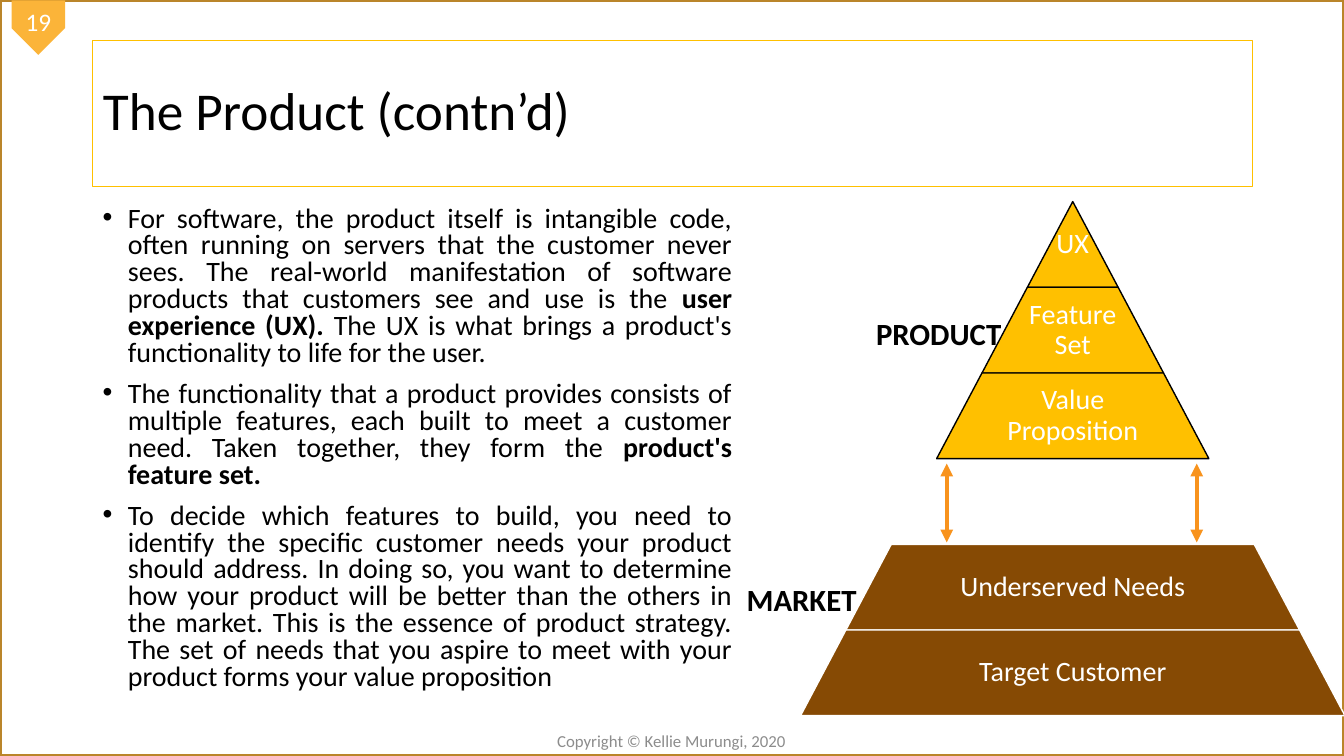
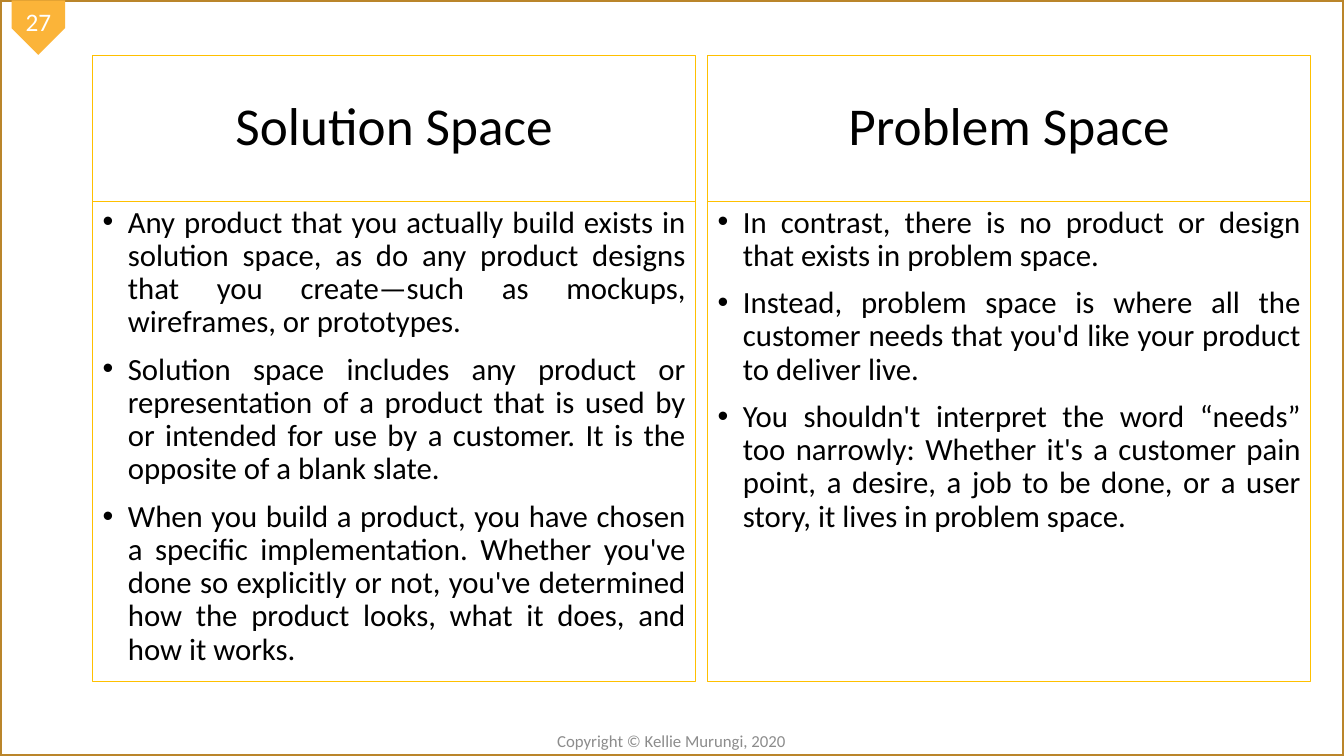
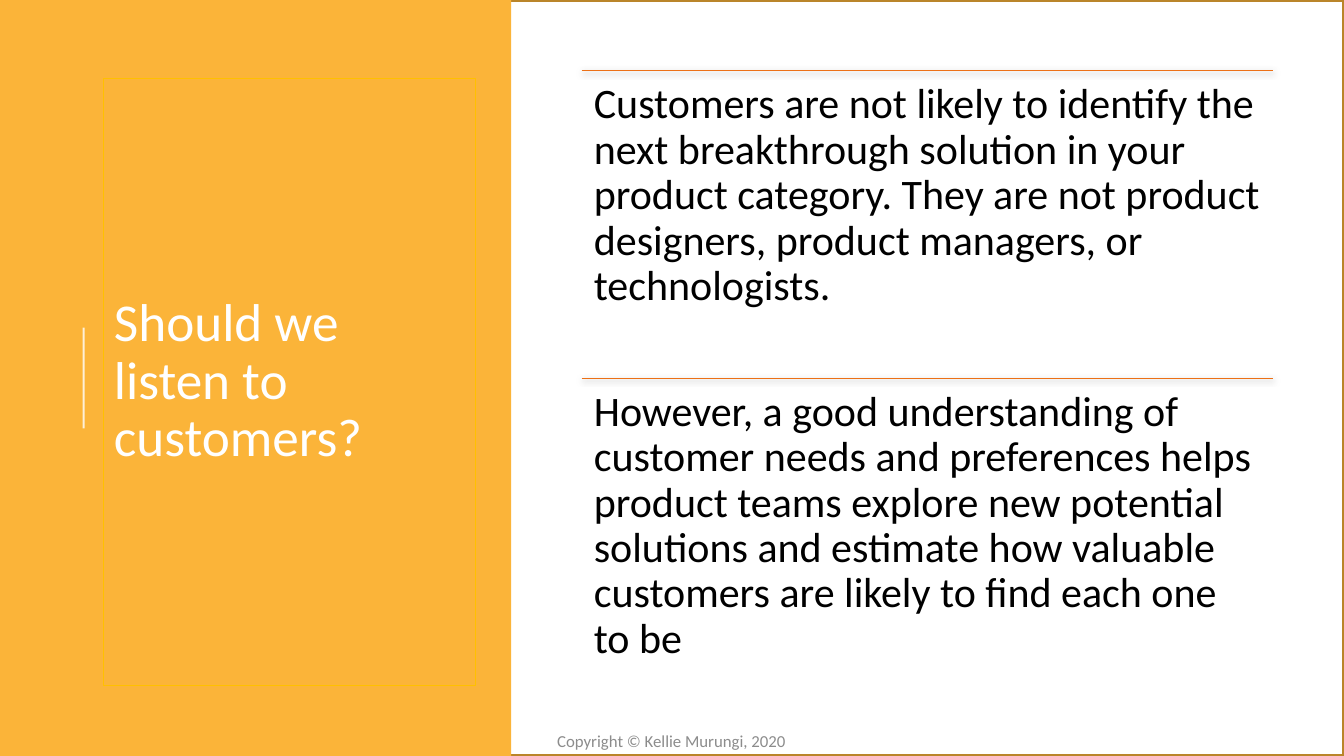
"""Build three product-management slides: the product pyramid, solution and problem space, and listening to customers."""
import pptx
import pptx.dml.color
import pptx.enum.shapes
import pptx.enum.text
import pptx.oxml.ns
import pptx.util
from lxml import etree

Inches, Pt = pptx.util.Inches, pptx.util.Pt
rgb = pptx.dml.color.RGBColor.from_string
qn = pptx.oxml.ns.qn
SHAPE = pptx.enum.shapes.MSO_SHAPE
STRAIGHT = pptx.enum.shapes.MSO_CONNECTOR.STRAIGHT
ALIGN = pptx.enum.text.PP_ALIGN
ANCHOR = pptx.enum.text.MSO_ANCHOR

FONT = "Calibri"
BLACK, WHITE, GREY = "000000", "FFFFFF", "8C8C8C"
AMBER, GOLD, BRONZE = "FBB439", "FFC000", "BA852A"
BROWN, ORANGE, RUST = "864A04", "F8931D", "EC7016"


def style(sp, fill=None, line=None, width=0.75):
    if isinstance(sp, pptx.shapes.connector.Connector):
        etree.SubElement(sp.element.spPr, qn("a:effectLst"))
    else:
        sp.shadow.inherit = False
        if fill:
            sp.fill.solid()
            sp.fill.fore_color.rgb = rgb(fill)
        else:
            sp.fill.background()
    if line:
        sp.line.color.rgb = rgb(line)
        sp.line.width = Pt(width)
    else:
        sp.line.fill.background()


def write(sp, *paragraphs, size, color=BLACK, bold=False, align=ALIGN.LEFT,
          anchor=ANCHOR.TOP, spacing=1.0, inset=None, bullet=False):
    tf = sp.text_frame
    tf.word_wrap = True
    tf.auto_size = pptx.enum.text.MSO_AUTO_SIZE.NONE
    tf.vertical_anchor = anchor
    if inset is not None:
        tf.margin_left = tf.margin_right = tf.margin_top = tf.margin_bottom = Inches(inset)
    for i, text in enumerate(paragraphs):
        p = tf.add_paragraph() if i else tf.paragraphs[0]
        p.alignment = align
        p.line_spacing = spacing
        if bullet:
            p.space_before = Pt(10)
            pPr = p._p.get_or_add_pPr()
            pPr.set("marL", str(Inches(0.25)))
            pPr.set("indent", str(-Inches(0.25)))
            etree.SubElement(pPr, qn("a:buFont")).set("typeface", "Arial")
            etree.SubElement(pPr, qn("a:buChar")).set("char", "•")
        for j, part in enumerate(text.split("**")):
            if part:
                r = p.add_run()
                r.text = part
                r.font.name = FONT
                r.font.size = Pt(size)
                r.font.bold = bold or j % 2 == 1
                r.font.color.rgb = rgb(color)


prs = pptx.Presentation()
prs.slide_width, prs.slide_height = Inches(13.33), Inches(7.5)

slides = []
for number in ("19", "27", None):
    s = prs.slides.add_slide(prs.slide_layouts[5])
    slides.append(s)
    frame = s.shapes.add_shape(SHAPE.RECTANGLE, 0, 0, prs.slide_width, prs.slide_height)
    style(frame, line=BRONZE, width=2.25)
    if number:
        tag = s.shapes.add_shape(SHAPE.PENTAGON, Inches(0.11), Inches(0.01), Inches(0.54), Inches(0.53))
        tag.rotation = 90
        style(tag, fill=AMBER)
        write(tag, number, size=18, color=WHITE, align=ALIGN.CENTER, anchor=ANCHOR.MIDDLE, inset=0)
        tag.element.txBody.bodyPr.set("vert", "vert270")
    footer = s.shapes.add_textbox(Inches(4.62), Inches(7.2), Inches(4.08), Inches(0.3))
    write(footer, "Copyright © Kellie Murungi, 2020", size=12, color=GREY,
          align=ALIGN.CENTER, anchor=ANCHOR.MIDDLE)

panel = slides[2].shapes.add_shape(SHAPE.RECTANGLE, 0, 0, Inches(5.07), prs.slide_height)
style(panel, fill=AMBER)

titles = [
    ("The Product (contn’d)", (0.92, 0.4, 11.5, 1.45), ALIGN.LEFT, BLACK),
    ("Solution Space", (0.92, 0.55, 5.98, 1.45), ALIGN.CENTER, BLACK),
    ("Should we listen to customers?", (1.03, 0.78, 3.69, 6.02), ALIGN.LEFT, WHITE),
]
for s, (text, place, align, color) in zip(slides, titles):
    title = s.shapes.title
    title.left, title.top, title.width, title.height = map(Inches, place)
    style(title, line=GOLD)
    write(title, text, size=38, color=color, align=align, anchor=ANCHOR.MIDDLE, spacing=0.9)
    title.element.getparent().append(title.element)

s = slides[0]
body = s.shapes.add_textbox(Inches(0.92), Inches(2), Inches(6.44), Inches(5.1))
write(body,
      "For software, the product itself is intangible code, often running on servers that the customer "
      "never sees. The real-world manifestation of software products that customers see and use is the "
      "**user experience (UX). **The UX is what brings a product's functionality to life for the user.",
      "The functionality that a product provides consists of multiple features, each built to meet a "
      "customer need. Taken together, they form the **product's feature set.**",
      "To decide which features to build, you need to identify the specific customer needs your product "
      "should address. In doing so, you want to determine how your product will be better than the others "
      "in the market. This is the essence of product strategy. The set of needs that you aspire to meet "
      "with your product forms your value proposition",
      size=20, align=ALIGN.JUSTIFY, spacing=0.8, bullet=True)

center, tier_step, tier_height = 10.64, 0.9, 0.85
tiers = [
    (1, "UX", GOLD, BLACK),
    (2, "Feature Set", GOLD, BLACK),
    (3, "Value Proposition", GOLD, BLACK),
    (5, "Underserved Needs", BROWN, WHITE),
    (6, "Target Customer", BROWN, WHITE),
]
for level, text, fill, line in tiers:
    width = tier_step * level
    top = 2 + tier_height * (level - 1)
    tier = s.shapes.add_shape(SHAPE.TRAPEZOID, Inches(center - width / 2), Inches(top),
                              Inches(width), Inches(tier_height))
    tier.adjustments[0] = tier_step / 2 / tier_height
    style(tier, fill=fill, line=line, width=1)
    label_width = max(tier_step, 0.65 * width)
    label = s.shapes.add_textbox(Inches(center - label_width / 2), Inches(top),
                                 Inches(label_width), Inches(tier_height))
    write(label, text, size=20, color=WHITE, align=ALIGN.CENTER, anchor=ANCHOR.MIDDLE,
          spacing=0.9, inset=0.03)

for text, left, top in (("PRODUCT", 8.25, 3.07), ("MARKET", 6.89, 5.71)):
    label = s.shapes.add_textbox(Inches(left), Inches(top), Inches(2.12), Inches(0.47))
    write(label, text, size=22, bold=True, align=ALIGN.CENTER)

for x in (9.39, 11.87):
    arrow = s.shapes.add_connector(STRAIGHT, Inches(x), Inches(4.6), Inches(x), Inches(5.38))
    style(arrow, line=ORANGE, width=3)
    for end in ("a:headEnd", "a:tailEnd"):
        etree.SubElement(arrow.line._get_or_add_ln(), qn(end)).set("type", "triangle")

s = slides[1]
heading = s.shapes.add_textbox(Inches(7.02), Inches(0.55), Inches(5.98), Inches(1.45))
style(heading, line=GOLD)
write(heading, "Problem Space", size=38, align=ALIGN.CENTER, anchor=ANCHOR.MIDDLE, spacing=0.9)
columns = [
    (0.92, [
        "Any product that you actually build exists in solution space, as do any product designs that you "
        "create—such as mockups, wireframes, or prototypes.",
        "Solution space includes any product or representation of a product that is used by or intended "
        "for use by a customer. It is the opposite of a blank slate.",
        "When you build a product, you have chosen a specific implementation. Whether you've done so "
        "explicitly or not, you've determined how the product looks, what it does, and how it works.",
    ]),
    (7.02, [
        "In contrast, there is no product or design that exists in problem space.",
        "Instead, problem space is where all the customer needs that you'd like your product to deliver live.",
        "You shouldn't interpret the word “needs” too narrowly: Whether it's a customer pain point, a "
        "desire, a job to be done, or a user story, it lives in problem space.",
    ]),
]
for left, points in columns:
    column = s.shapes.add_textbox(Inches(left), Inches(2), Inches(5.98), Inches(4.76))
    style(column, line=GOLD)
    write(column, *points, size=22, align=ALIGN.JUSTIFY, spacing=0.9, bullet=True)

s = slides[2]
bar = s.shapes.add_connector(STRAIGHT, Inches(0.83), Inches(4.25), Inches(0.83), Inches(3.25))
style(bar, line=WHITE, width=1.5)
bar_color = bar.element.spPr.find(".//" + qn("a:srgbClr"))
etree.SubElement(bar_color, qn("a:alpha")).set("val", "80000")

statements = [
    "Customers are not likely to identify the next breakthrough solution in your product category. "
    "They are not product designers, product managers, or technologists.",
    "However, a good understanding of customer needs and preferences helps product teams explore new "
    "potential solutions and estimate how valuable customers are likely to find each one to be",
]
for i, text in enumerate(statements):
    top = 0.7 + 3.05 * i
    rule = s.shapes.add_connector(STRAIGHT, Inches(5.77), Inches(top), Inches(12.63), Inches(top))
    style(rule, line=RUST, width=0.5)
    shadow = etree.SubElement(rule.element.spPr.find(qn("a:effectLst")), qn("a:outerShdw"),
                              blurRad=str(Pt(4.5)), dist=str(Pt(1.5)), dir="5400000",
                              algn="ctr", rotWithShape="0")
    shadow_color = etree.SubElement(shadow, qn("a:srgbClr"), val=BLACK)
    etree.SubElement(shadow_color, qn("a:alpha"), val="63000")
    statement = s.shapes.add_textbox(Inches(5.77), Inches(top), Inches(6.86), Inches(3.05))
    write(statement, text, size=30, spacing=0.9, inset=0.12)

prs.save("out.pptx")
